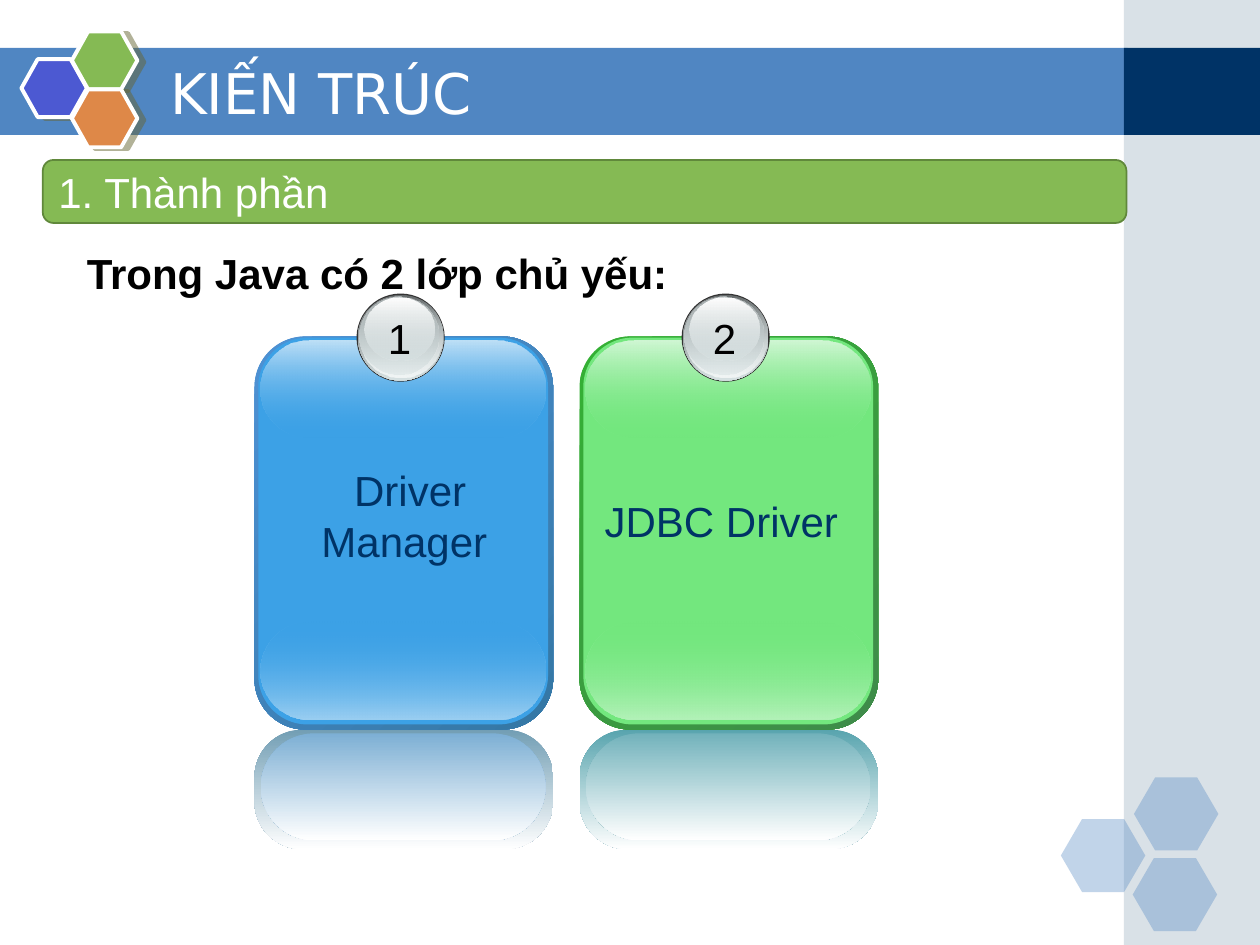
"""Build the slide on the architecture of Java database drivers."""
from lxml import etree
from pptx import Presentation, util as u
from pptx.dml.color import RGBColor
from pptx.enum import shapes, text
from pptx.oxml.ns import qn

S = shapes.MSO_SHAPE
A, P = text.MSO_ANCHOR, text.PP_ALIGN
C = RGBColor.from_string
WHITE, BLACK, NAVY = C("FFFFFF"), C("000000"), C("003366")
BAND, SIDE, SHADE = C("5086C2"), C("A0B5C4"), C("666633")
GREEN, MOSS, INDIGO, ORANGE = C("85BA54"), C("60883B"), C("4C59D2"), C("DE8848")
RIM, STEEL, SILVER, PEARL, GREY = (
    C("333333"), C("636869"), C("D6E1E2"), C("F1F5F5"), C("AAB2B3"))

SLIDE_W, SLIDE_H = 10, 7.5
SIDE_X, BAND_Y, BAND_H = 8.92, 0.38, 0.69
CARD_X, CARD_Y, CARD_W, CARD_H, CARD_STEP = 2.02, 2.67, 2.37, 3.12, 2.58

TITLE = "KIẾN TRÚC"
SECTION = "1. Thành phần"
LEAD = "Trong Java có 2 lớp chủ yếu:"

FADED_HEXAGONS = [(8.42, 6.5), (9, 6.17), (8.99, 6.81)]
LOGO_HEXAGONS = [(0.17, 0.47, INDIGO), (0.57, 0.25, GREEN), (0.57, 0.71, ORANGE)]

CARDS = [
    dict(number="1", label="Driver Manager ", label_box=(0.11, 0.97, 2.25, 1.3),
         align=P.CENTER, spacing=1, edge=("4E91D4", "3477A4"), face="3CA1E6",
         top="BEE0F7", bottom="9BCFF2", mirror=("729EB4", "7DAFD4")),
    dict(number="2", label="JDBC Driver", label_box=(0.1, 1.29, 2.25, 0.42),
         align=P.LEFT, spacing=0.8, edge=("34B034", "3F8B4A"), face="73E77E",
         top="D0F7D4", bottom="B3F2B9", mirror=("58A4AE", "72B2BB")),
]

BADGE = [
    ((0.81, -0.34, 0.7, 0.7), [(RIM, 100)]),
    ((0.82, -0.33, 0.68, 0.68), [(STEEL, 100), (SILVER, 100)]),
    ((0.83, -0.33, 0.66, 0.66), [(SILVER, 0), (PEARL, 100)]),
    ((0.83, -0.32, 0.63, 0.62), [(GREY, 100), (SILVER, 48)]),
    ((0.87, -0.31, 0.56, 0.5), [(WHITE, 100), (SILVER, 38)]),
]


def paint(fill, props, stops, angle):
    """Fill with one colour or a two-stop gradient of (colour, opacity)."""
    if len(stops) == 1:
        fill.solid()
        fill.fore_color.rgb = stops[0][0]
    else:
        fill.gradient()
        fill.gradient_angle = 360 - angle
        for stop, (color, _), place in zip(fill.gradient_stops, stops, (0, 1)):
            stop.color.rgb = color
            stop.position = place
    for node, (_, opacity) in zip(props.iter(qn("a:srgbClr")), stops):
        if opacity < 100:
            etree.SubElement(node, qn("a:alpha"), val=str(opacity * 1000))


def add_shape(parent, kind, box, *stops, angle=90, adj=None, line=None, width=1):
    """Add a preset shape without shadow."""
    sp = parent.add_shape(kind, *map(u.Inches, box))
    sp.shadow.inherit = False
    paint(sp.fill, sp._element.spPr, stops, angle)
    if adj is not None:
        sp.adjustments[0] = adj
    if line is None:
        sp.line.fill.background()
    else:
        sp.line.color.rgb = line
        sp.line.width = u.Pt(width)
    return sp


def write(sp, words, size=24, font="Arial", color=BLACK, bold=False, align=P.LEFT,
          anchor=A.TOP, spacing=1, wrap=True, top=0.05):
    """Write one formatted paragraph into a shape."""
    tf = sp.text_frame
    tf.word_wrap, tf.vertical_anchor = wrap, anchor
    tf.margin_left = tf.margin_right = u.Inches(0.1)
    tf.margin_top, tf.margin_bottom = u.Inches(top), u.Inches(0.05)
    p = tf.paragraphs[0]
    p.alignment, p.line_spacing = align, spacing
    r = p.add_run()
    r.text = words
    r.font.size, r.font.name, r.font.bold = u.Pt(size), font, bold
    r.font.color.rgb = color


def add_text(parent, box, words, **style):
    """Add a text box."""
    write(parent.add_textbox(*map(u.Inches, box)), words, **style)


def cast_shadow(sp):
    """Give a shape a hard offset shadow."""
    effects = sp._element.spPr.find(qn("a:effectLst"))
    shadow = etree.SubElement(effects, qn("a:outerShdw"), dist=str(u.Pt(4.1)),
                              dir="840000", algn="ctr", rotWithShape="0")
    color = etree.SubElement(shadow, qn("a:srgbClr"), val=str(SHADE))
    etree.SubElement(color, qn("a:alpha"), val="50000")


def add_backdrop(parent):
    """Draw the title band, the side panel and the hexagons."""
    side_w = SLIDE_W - SIDE_X
    add_shape(parent, S.RECTANGLE, (0, BAND_Y, SIDE_X + 0.03, BAND_H), (BAND, 100))
    add_shape(parent, S.RECTANGLE, (SIDE_X, 0, side_w, SLIDE_H), (SIDE, 40))
    add_shape(parent, S.RECTANGLE, (SIDE_X, BAND_Y, side_w, BAND_H), (NAVY, 100))
    for x, y in FADED_HEXAGONS:
        add_shape(parent, S.HEXAGON, (x, y, 0.67, 0.58), (BAND, 35), adj=0.29)
    for x, y, color in LOGO_HEXAGONS:
        cast_shadow(add_shape(parent, S.HEXAGON, (x, y, 0.52, 0.46), (color, 100),
                              adj=0.28, line=WHITE, width=2.25))


def add_card(parent, index, card):
    """Draw one glossy card with its mirror, badge and label."""
    group = parent.add_group_shape().shapes

    def place(box):
        return (CARD_X + index * CARD_STEP + box[0], CARD_Y + box[1], *box[2:])

    edge = [(C(c), 100) for c in card["edge"]]
    face, white = C(card["face"]), (WHITE, 100)
    outer, inner = [(C(c), 100) for c in card["mirror"]]
    layers = [
        ((0, 0, CARD_W, CARD_H), 0.17, 45, edge),
        ((0.03, 0.01, 2.3, 3.07), 0.17, 90, [(face, 100)]),
        ((0.05, 2.26, 2.26, 0.78), 0.5, 90, [(face, 0), (C(card["bottom"]), 100)]),
        ((0.05, 0.03, 2.26, 0.77), 0.5, 90, [(C(card["top"]), 100), (face, 0)]),
        ((0, CARD_H, CARD_W, 0.95), 0.4, 90, [outer, white]),
        ((0.05, CARD_H + 0.03, 2.26, 0.85), 0.5, 90, [inner, white]),
    ]
    for box, adj, angle, stops in layers:
        add_shape(group, S.ROUNDED_RECTANGLE, place(box), *stops, angle=angle, adj=adj)
    for box, stops in BADGE:
        add_shape(group, S.OVAL, place(box), *stops)
    add_text(group, place((0.96, -0.24, 0.38, 0.5)), card["number"],
             align=P.CENTER, wrap=False)
    add_text(group, place(card["label_box"]), card["label"], color=NAVY,
             align=card["align"], spacing=card["spacing"])


def main():
    """Build and save the slide."""
    prs = Presentation()
    prs.slide_width, prs.slide_height = u.Inches(SLIDE_W), u.Inches(SLIDE_H)
    slide = prs.slides.add_slide(prs.slide_layouts[5])
    parent, title = slide.shapes, slide.shapes.title
    add_backdrop(parent)
    parent._spTree.append(title._element)
    title.left, title.top, title.width, title.height = map(
        u.Inches, (1.25, 0.42, 7.33, 0.62))
    write(title, TITLE, size=32, font="DejaVu Sans", color=WHITE, anchor=A.MIDDLE)
    add_text(parent, (0.59, 1.47, 7.91, 5.31), LEAD, bold=True, top=0.49)
    section = add_shape(parent, S.ROUNDED_RECTANGLE, (0.34, 1.27, 8.6, 0.5),
                        (GREEN, 100), adj=0.17, line=MOSS)
    write(section, SECTION, color=WHITE, anchor=A.MIDDLE, wrap=False)
    for index, card in enumerate(CARDS):
        add_card(parent, index, card)
    prs.save("out.pptx")


if __name__ == "__main__":
    main()
